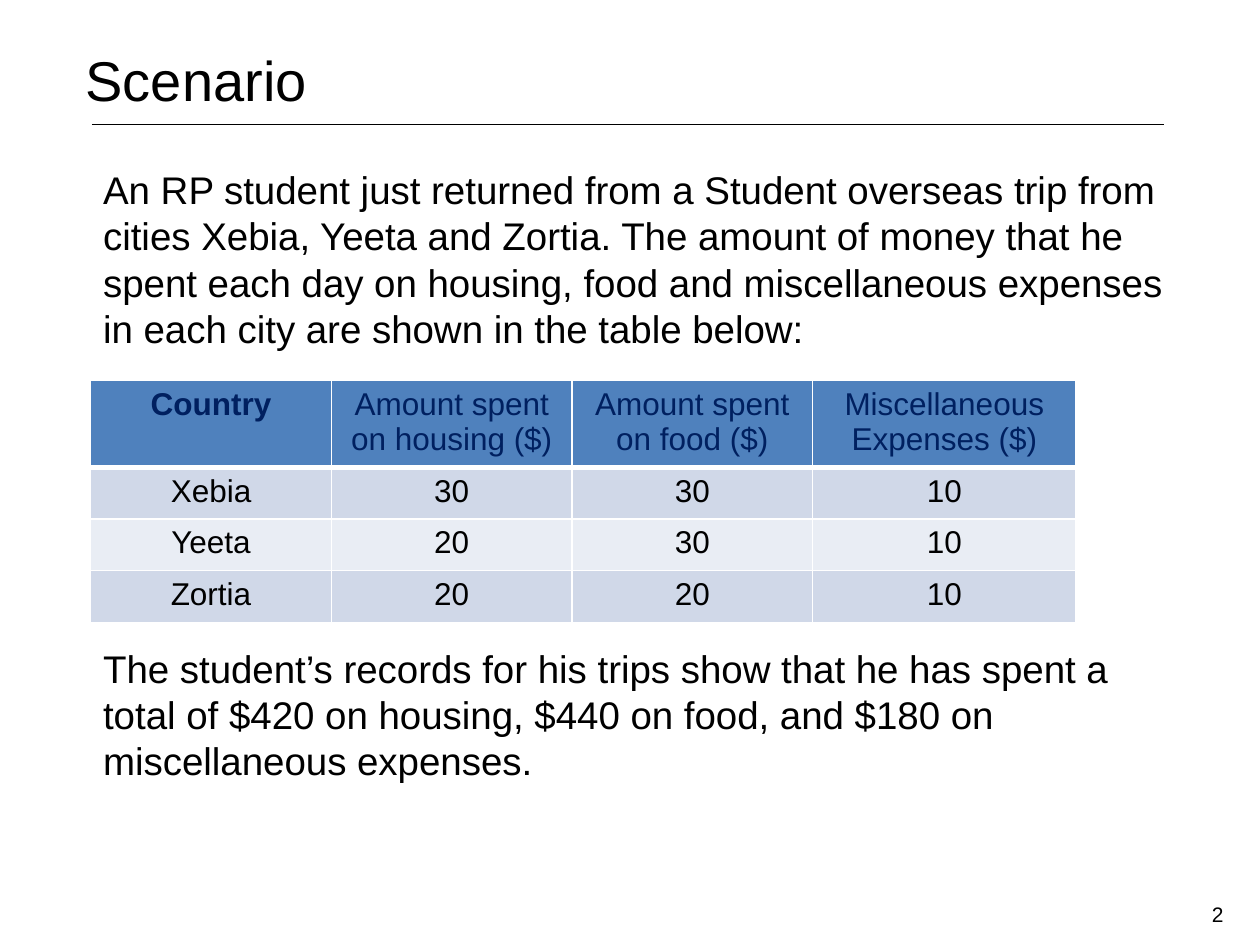
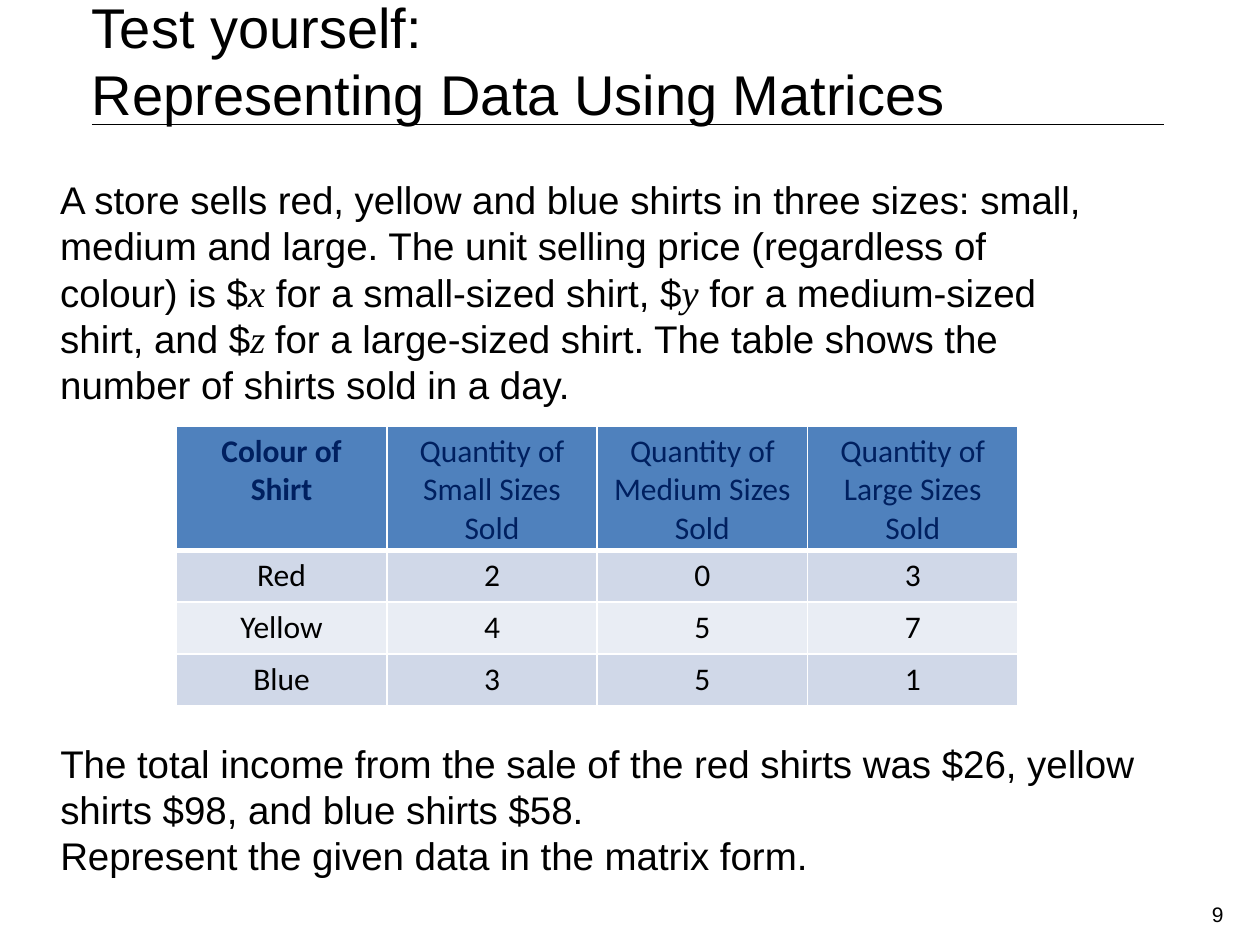
from dataclasses import dataclass

from lxml.etree import SubElement
from pptx import Presentation
from pptx.dml.color import RGBColor
from pptx.enum.shapes import MSO_CONNECTOR
from pptx.enum.text import MSO_ANCHOR, MSO_AUTO_SIZE, PP_ALIGN
from pptx.oxml import parse_xml
from pptx.oxml.ns import nsdecls, qn
from pptx.util import Inches, Pt

# Shared look
BLACK, WHITE, NAVY = "000000", "FFFFFF", "002060"
HEADER_FILL, BAND_FILLS = "4F81BD", ("D0D8E8", "E9EDF4")
BODY_FONT, SYMBOL_FONT = "Arial", "Times New Roman"
TITLE_SIZE, BODY_SIZE, TABLE_SIZE, NUMBER_SIZE = 32, 22, 18, 12
ROW_HEIGHT = 0.41
TITLE_ONLY = 5


@dataclass(frozen=True)
class Area:
    left: float
    top: float
    width: float
    height: float

    def lengths(self) -> tuple:
        return tuple(Inches(n) for n in (self.left, self.top, self.width, self.height))


@dataclass(frozen=True)
class TextBlock:
    area: Area
    paragraphs: tuple  # each one a tuple of strings; every second string is a symbol
    anchor: MSO_ANCHOR = MSO_ANCHOR.TOP


@dataclass(frozen=True)
class DataTable:
    left: float
    top: float
    column_widths: tuple
    header_height: float
    font: str
    rows: tuple


@dataclass(frozen=True)
class PageContent:
    number: int
    title: str
    title_area: Area
    blocks: tuple
    table: DataTable


PAGES = (
    PageContent(
        number=2,
        title="Scenario",
        title_area=Area(0.58, 0.31, 9.5, 1.25),
        blocks=(
            TextBlock(Area(0.72, 1.27, 8.67, 1.6), ((
                "An RP student just returned from a Student overseas trip from cities "
                "Xebia, Yeeta and Zortia. The amount of money that he spent each day on "
                "housing, food and miscellaneous expenses in each city are shown in the "
                "table below:",),)),
            TextBlock(Area(0.72, 5.07, 8.67, 1.25), ((
                "The student’s records for his trips show that he has spent a total of "
                "$420 on housing, $440 on food, and $180 on miscellaneous expenses.",),)),
        ),
        table=DataTable(0.72, 3.02, (1.91, 1.91, 1.91, 2.09), 0.69, "Arial", (
            ("Country", "Amount spent on housing ($)", "Amount spent on food ($)",
             "Miscellaneous Expenses ($)"),
            ("Xebia", "30", "30", "10"),
            ("Yeeta", "20", "30", "10"),
            ("Zortia", "20", "20", "10"),
        )),
    ),
    PageContent(
        number=9,
        title="Test yourself:\nRepresenting Data Using Matrices",
        title_area=Area(0.63, -0.11, 9.5, 1.25),
        blocks=(
            TextBlock(Area(0.38, 1.34, 8.53, 1.95), ((
                "A store sells red, yellow and blue shirts in three sizes: small, medium "
                "and large. The unit selling price (regardless of colour) is $", "x",
                " for a small-sized shirt, $", "y",
                " for a medium-sized shirt, and $", "z ",
                "for a large-sized shirt. The table shows the number of shirts sold in "
                "a day."),), MSO_ANCHOR.MIDDLE),
            TextBlock(Area(0.38, 5.82, 9.21, 1.21), (
                ("The total income from the sale of the red shirts was $26, yellow "
                 "shirts $98, and blue shirts $58.",),
                ("Represent the given data in the matrix form.",))),
        ),
        table=DataTable(1.4, 3.38, (1.67,) * 4, 0.99, "Calibri", (
            ("Colour of Shirt", "Quantity of Small Sizes Sold",
             "Quantity of Medium Sizes Sold", "Quantity of Large Sizes Sold"),
            ("Red", "2", "0", "3"),
            ("Yellow", "4", "5", "7"),
            ("Blue", "3", "5", "1"),
        )),
    ),
)


def color(value: str) -> RGBColor:
    return RGBColor.from_string(value)


def style_span(span, size: float, font: str = BODY_FONT, tint: str = BLACK,
               bold: bool = False, italic: bool = False) -> None:
    span.font.size, span.font.name = Pt(size), font
    span.font.bold, span.font.italic = bold, italic
    span.font.color.rgb = color(tint)


def prepare_frame(frame, anchor=MSO_ANCHOR.TOP) -> None:
    frame.word_wrap = True
    frame.auto_size = MSO_AUTO_SIZE.NONE
    frame.vertical_anchor = anchor
    frame.margin_top = frame.margin_bottom = Inches(0.05)


def draw_rule(page) -> None:
    rule = page.shapes.add_connector(MSO_CONNECTOR.STRAIGHT, Inches(0.73), Inches(0.99),
                                     Inches(9.24), Inches(0.99))
    rule.line.color.rgb = color(BLACK)
    rule.line.width = Pt(0.25)
    SubElement(rule._element.spPr, qn("a:effectLst"))


def draw_title(page, text: str, area: Area) -> None:
    title = page.shapes.title
    title.left, title.top, title.width, title.height = area.lengths()
    prepare_frame(title.text_frame)
    title.text_frame.text = text
    for para in title.text_frame.paragraphs:
        para.alignment = PP_ALIGN.LEFT
        para.line_spacing = 1.0
        para.space_before = Pt(0)
        style_span(para.runs[0], TITLE_SIZE)


def draw_block(page, block: TextBlock) -> None:
    frame = page.shapes.add_textbox(*block.area.lengths()).text_frame
    prepare_frame(frame, block.anchor)
    for index, pieces in enumerate(block.paragraphs):
        para = frame.add_paragraph() if index else frame.paragraphs[0]
        for position, piece in enumerate(pieces):
            span = para.add_run()
            span.text = piece
            symbol = position % 2 == 1
            style_span(span, BODY_SIZE, SYMBOL_FONT if symbol else BODY_FONT, italic=symbol)


def set_borders(cell, top: float, bottom: float) -> None:
    properties = cell._tc.get_or_add_tcPr()
    widths = {"lnL": 1, "lnR": 1, "lnT": top, "lnB": bottom}
    for index, (side, width) in enumerate(widths.items()):
        properties.insert(index, parse_xml(
            f'<a:{side} {nsdecls("a")} w="{Pt(width)}"><a:solidFill>'
            f'<a:srgbClr val="{WHITE}"/></a:solidFill></a:{side}>'))


def draw_table(page, data: DataTable) -> None:
    heights = [data.header_height] + [ROW_HEIGHT] * (len(data.rows) - 1)
    area = Area(data.left, data.top, sum(data.column_widths), sum(heights))
    table = page.shapes.add_table(len(data.rows), len(data.column_widths),
                                  *area.lengths()).table
    table.horz_banding = False
    for column, width in zip(table.columns, data.column_widths):
        column.width = Inches(width)
    for row, height in zip(table.rows, heights):
        row.height = Inches(height)

    for r, texts in enumerate(data.rows):
        header = r == 0
        for c, text in enumerate(texts):
            cell = table.cell(r, c)
            cell.text_frame.text = text
            cell.margin_top, cell.margin_bottom = Inches(0.05), Inches(0.02)
            cell.fill.solid()
            cell.fill.fore_color.rgb = color(HEADER_FILL if header else BAND_FILLS[(r - 1) % 2])
            set_borders(cell, top=3 if r == 1 else 1, bottom=3 if header else 1)
            para = cell.text_frame.paragraphs[0]
            para.alignment = PP_ALIGN.CENTER
            style_span(para.runs[0], TABLE_SIZE, data.font, NAVY if header else BLACK,
                       bold=header and c == 0)


def draw_number(page, number: int) -> None:
    frame = page.shapes.add_textbox(*Area(9.52, 7.11, 0.48, 0.4).lengths()).text_frame
    prepare_frame(frame)
    frame.text = str(number)
    style_span(frame.paragraphs[0].runs[0], NUMBER_SIZE)


def main() -> None:
    deck = Presentation()
    deck.slide_width, deck.slide_height = Inches(10), Inches(7.5)
    for content in PAGES:
        page = deck.slides.add_slide(deck.slide_layouts[TITLE_ONLY])
        draw_rule(page)
        draw_title(page, content.title, content.title_area)
        for block in content.blocks:
            draw_block(page, block)
        draw_table(page, content.table)
        draw_number(page, content.number)
    deck.save("out.pptx")


if __name__ == "__main__":
    main()
